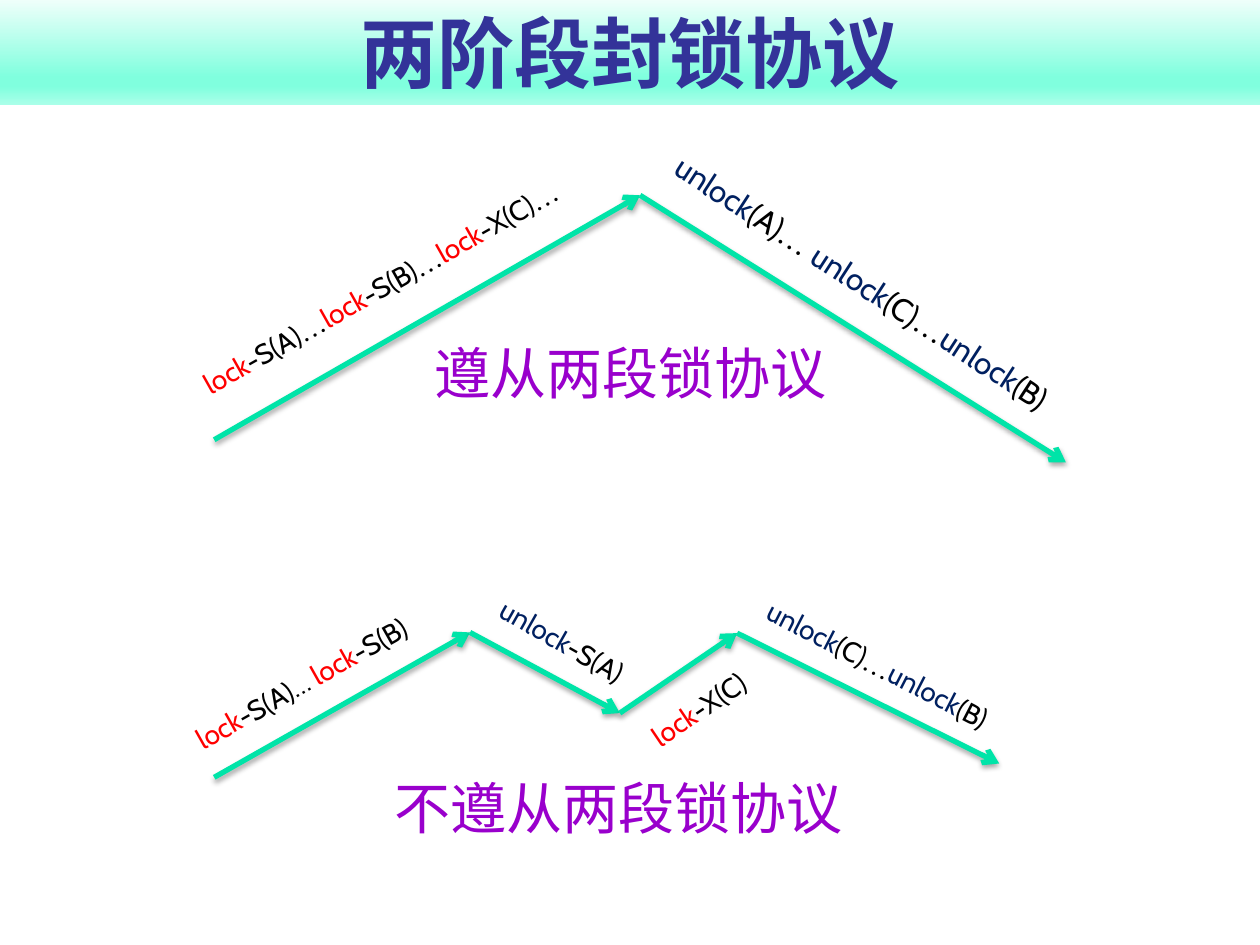
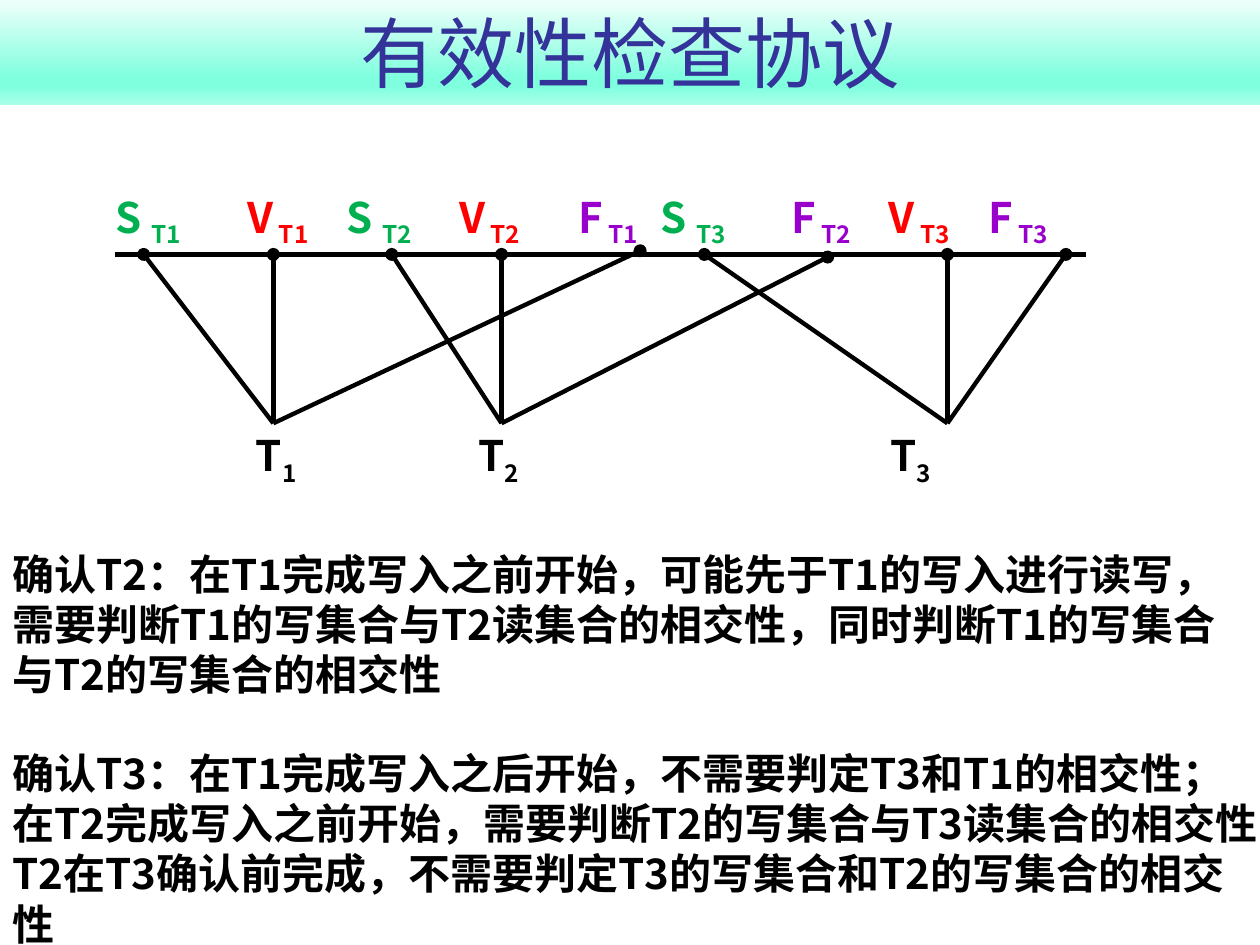
import pptx
import pptx.util
import pptx.dml.color
import pptx.enum.shapes
import pptx.enum.text
import pptx.oxml
import pptx.oxml.ns

Pt = pptx.util.Pt
RGB = pptx.dml.color.RGBColor.from_string
NS = pptx.oxml.ns.nsdecls("a")

COLORS = {
    "title": "333399", "caption": "9900CC", "arrow": "00E4A8", "black": "000000",
    "lock": "FF0000", "unlock": "002060",
    "S": "00B050", "V": "FF0000", "F": "9900CC",
}
BAND_STOPS = [(0, "F1FFFB"), (74, "80FFDE"), (83, "80FFDE"), (100, "AAFFE9")]
CABIN, SANS, TIMES = "Cabin", "Noto Sans CJK JP", "Times New Roman"
SHADOW = (f'<a:effectLst {NS}><a:outerShdw blurRad="39370" dist="22860" dir="5400000" rotWithShape="0">'
          '<a:srgbClr val="000000"><a:alpha val="35000"/></a:srgbClr></a:outerShdw></a:effectLst>')
NO_EFFECT = f"<a:effectLst {NS}/>"


def add_text(s, box, pieces, size, font, color, bold=False, rotation=0, wrap=True):
    """Add a one-paragraph text box; return its paragraph."""
    sp = s.shapes.add_textbox(*[Pt(v) for v in box])
    sp.rotation = rotation
    tf = sp.text_frame
    tf.word_wrap = wrap
    p = tf.paragraphs[0]
    p.font.size, p.font.name, p.font.bold = Pt(size), font, bold
    p.font.color.rgb = RGB(COLORS[color])
    for piece in pieces:
        p.add_run().text = piece
    return p


def add_line(s, start, end, color, width, effect, ends=""):
    """Add a straight connector with optional line-end XML."""
    line = s.shapes.add_connector(pptx.enum.shapes.MSO_CONNECTOR.STRAIGHT,
                                  *[Pt(v) for v in (*start, *end)])
    line.line.color.rgb = RGB(COLORS[color])
    line.line.width = Pt(width)
    if ends:
        line.line._get_or_add_ln().append(pptx.oxml.parse_xml(ends))
    line._element.spPr.append(pptx.oxml.parse_xml(effect))


prs = pptx.Presentation()
prs.slide_width, prs.slide_height = Pt(720), Pt(540)

# Title bands
slides = []
for title, bold in [("两阶段封锁协议", True), ("有效性检查协议", False)]:
    s = prs.slides.add_slide(prs.slide_layouts[6])
    slides.append(s)
    sp = s.shapes.add_shape(pptx.enum.shapes.MSO_SHAPE.RECTANGLE, Pt(0), Pt(-0.7), Pt(720), Pt(60.5))
    sp.shadow.inherit = False
    sp.line.fill.background()
    sp.fill.gradient()
    sp.fill.gradient_angle = 270
    stops = sp._element.spPr.find(pptx.oxml.ns.qn("a:gradFill")).find(pptx.oxml.ns.qn("a:gsLst"))
    for stop in list(stops):
        stops.remove(stop)
    for pos, color in BAND_STOPS:
        stops.append(pptx.oxml.parse_xml(
            f'<a:gs {NS} pos="{pos * 1000}"><a:srgbClr val="{color}"/></a:gs>'))
    tf = sp.text_frame
    tf.word_wrap = True
    tf.vertical_anchor = pptx.enum.text.MSO_ANCHOR.BOTTOM
    p = tf.paragraphs[0]
    p.alignment = pptx.enum.text.PP_ALIGN.CENTER
    p.font.size, p.font.name, p.font.bold = Pt(44), CABIN, bold
    p.font.color.rgb = RGB(COLORS["title"])
    p.add_run().text = title

# Slide 1: lock phases as chains of arrows
s = slides[0]
chains = [
    [(122.4, 251.3), (365.8, 111.6), (609.1, 264.2)],
    [(122.4, 444.2), (268.6, 361.4), (354.2, 407.5), (421.2, 361.8), (571, 436.3)],
]
for chain in chains:
    for start, end in zip(chain, chain[1:]):
        add_line(s, start, end, "arrow", 3, SHADOW, f'<a:tailEnd {NS} type="arrow"/>')

# Slanted lock and unlock labels
labels = [
    ((94.3, 146.2, 263.5, 26.6), 330.6, 16, True,
     ["lock", "-S(A)", "…", "lock", "-S(B)", "…", "lock", "-X(C)", "…"]),
    ((359.3, 151.9, 282.2, 28.8), 33, 18, True,
     ["unlock", "(A)", "… ", "unlock", "(C)", "…", "unlock", "(B)"]),
    ((95, 367.9, 187.2, 26.6), 330.6, 16, True, ["lock", "-S(A)… ", "lock", "-S(B)"]),
    ((274.3, 355.7, 103, 26.6), 29.6, 16, True, ["unlock", "-S(A)"]),
    ((361.4, 391, 78.5, 26.6), 326, 16, False, ["lock", "-X(C)"]),
    ((424.1, 369.4, 166.3, 26.6), 27.2, 16, False, ["unlock", "(C)", "…", "unlock", "(B)"]),
]
for box, rotation, size, wrap, pieces in labels:
    p = add_text(s, box, pieces, size, CABIN, "black", rotation=rotation, wrap=wrap)
    for r in p.runs:
        if r.text in ("lock", "unlock"):
            r.font.color.rgb = RGB(COLORS[r.text])
        elif r.text.startswith("…"):
            r.font.name = TIMES

# Captions
for caption, box in [("遵从两段锁协议", (241.2, 190.1, 240.5, 46.1)),
                     ("不遵从两段锁协议", (218.2, 438.5, 272.9, 46.1))]:
    add_text(s, box, [caption], 32, CABIN, "caption", wrap=False)

# Slide 2: time axis
s = slides[1]
AXIS_Y, APEX_Y = 145.4, 241.9
add_line(s, (65.5, AXIS_Y), (620.6, AXIS_Y), "black", 2.5, NO_EFFECT)

# Transactions: number, apex x, name x, then (letter, label x, dot x, dot y)
transactions = [
    (1, 156.2, 146.3, [("S", 66, 82.1, AXIS_Y), ("V", 141.5, 156.2, AXIS_Y), ("F", 330.5, 365.8, 143.3)]),
    (2, 286.6, 273.3, [("S", 198, 223.9, AXIS_Y), ("V", 262.5, 286.6, AXIS_Y), ("F", 452.5, 473, 146.9)]),
    (3, 541.4, 508.8, [("S", 377.5, 402.5, AXIS_Y), ("V", 508, 541.4, AXIS_Y), ("F", 565, 609.1, AXIS_Y)]),
]
for number, apex_x, name_x, events in transactions:
    marks = [("T", str(number), "black", name_x, APEX_Y)]
    for letter, label_x, dot_x, dot_y in events:
        add_line(s, (dot_x, dot_y), (apex_x, APEX_Y), "black", 2.5, NO_EFFECT,
                 f'<a:headEnd {NS} type="oval"/>')
        base, sub = ("S ", f"T{number}") if letter == "S" else (letter, f" T{number}")
        marks.append((base, sub, letter, label_x, 105.8))
    for base, sub, color, x, y in marks:
        p = add_text(s, (x - 7.2, y, 70, 36), [base, sub], 24, SANS, color, bold=True)
        p.runs[1]._r.get_or_add_rPr().set("baseline", "-25000")

# Explanations
notes = [
    (309.6, 720, "确认T2：在T1完成写入之前开始，可能先于T1的写入进行读写，需要判断T1的写集合与T2读集合的相交性，"
                 "同时判断T1的写集合与T2的写集合的相交性"),
    (423.4, 727.2, "确认T3：在T1完成写入之后开始，不需要判定T3和T1的相交性；在T2完成写入之前开始，"
                   "需要判断T2的写集合与T3读集合的相交性；T2在T3确认前完成，不需要判定T3的写集合和T2的写集合的相交性"),
]
for top, width, note in notes:
    p = add_text(s, (0, top, width, 94.3), [note], 24, SANS, "black", bold=True)
    p.line_spacing = Pt(28.8)

prs.save("out.pptx")
